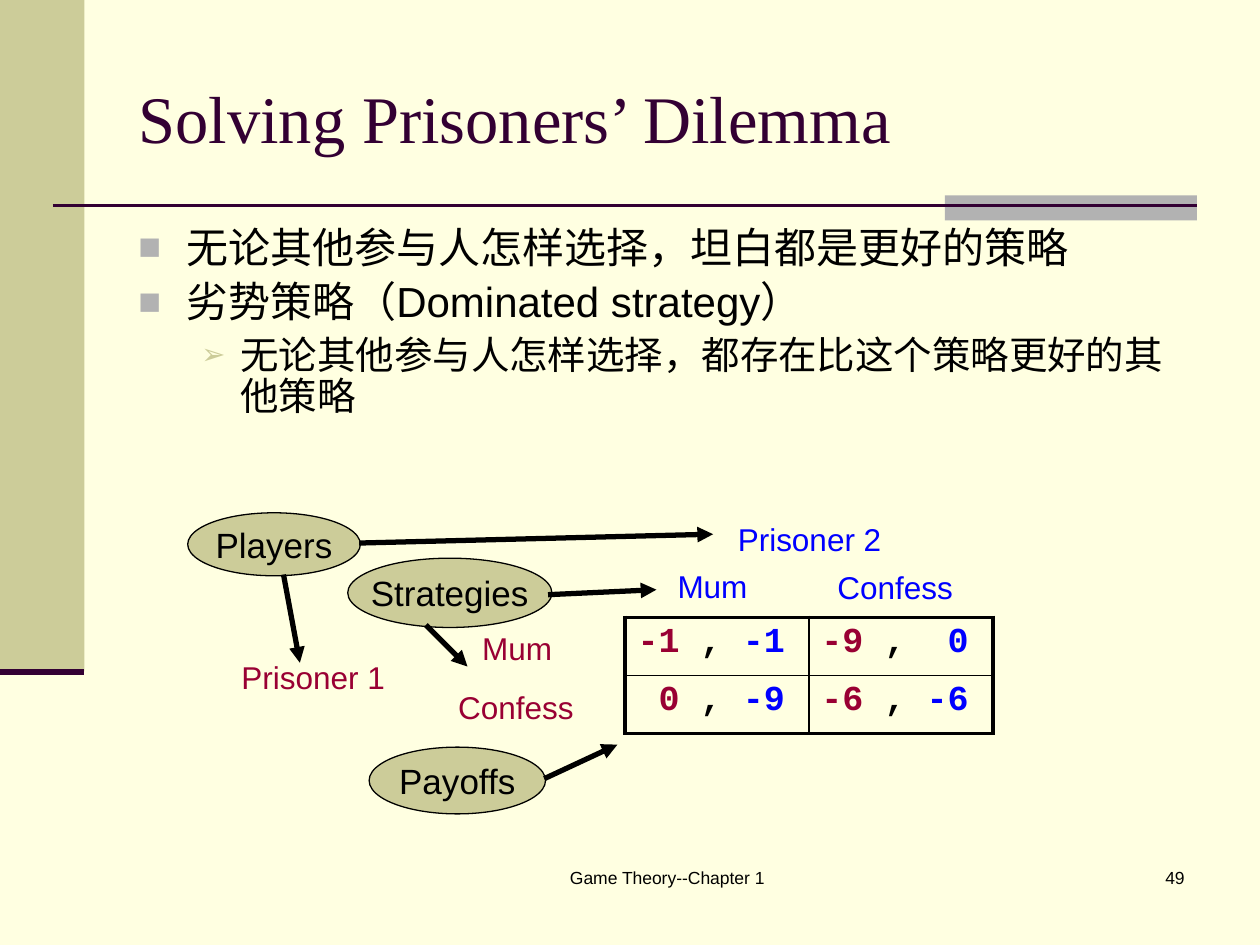
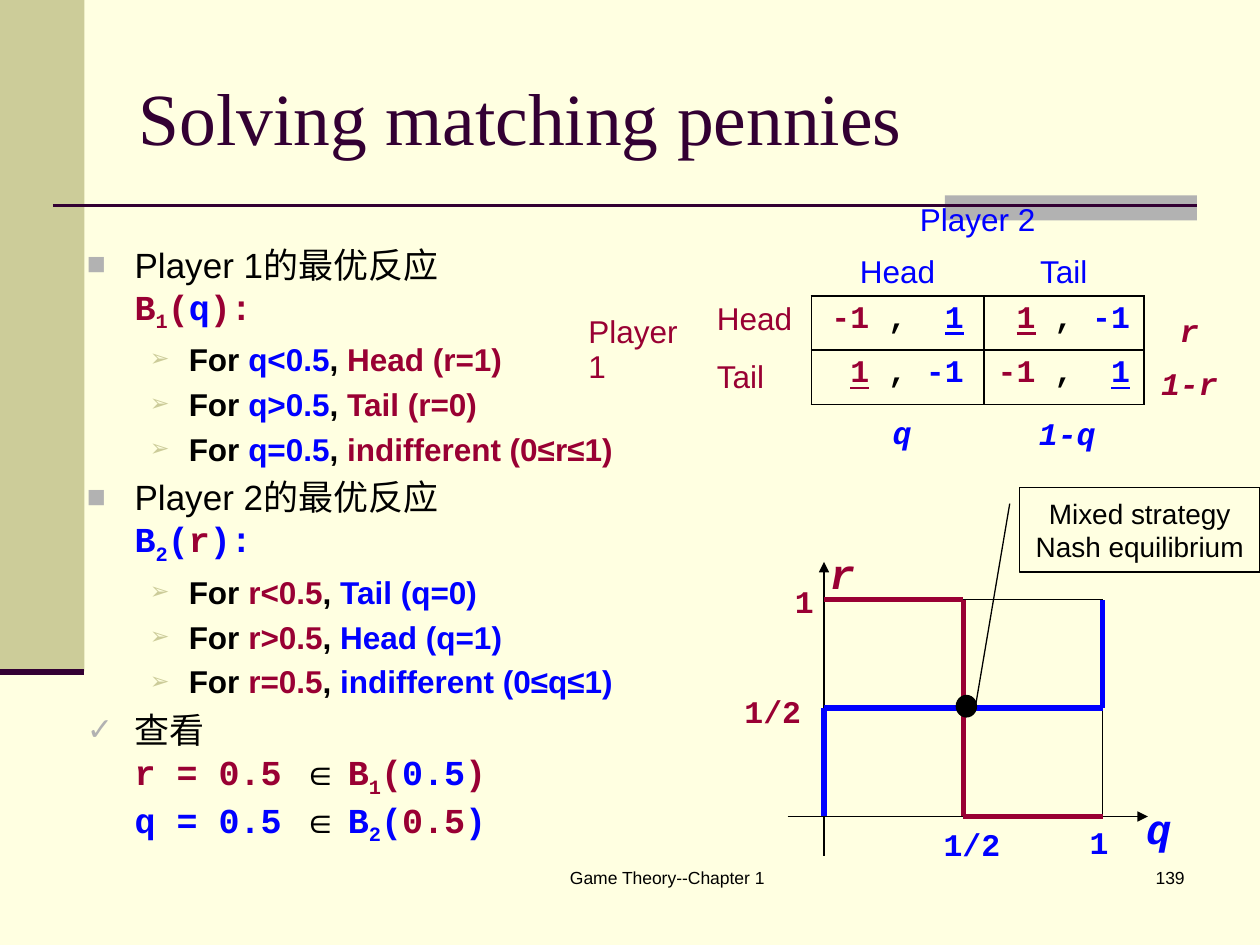
from dataclasses import dataclass
from functools import partial

from lxml import etree
from pptx import Presentation
from pptx import util as u
from pptx.dml.color import RGBColor
from pptx.enum import shapes, text
from pptx.oxml.ns import qn


@dataclass(frozen=True)
class Theme:
    paper: str = "FFFFE1"
    khaki: str = "CCCC99"
    grey: str = "B2B2B2"
    plum: str = "330033"
    black: str = "000000"
    red: str = "990033"
    blue: str = "0000FF"
    sans: str = "Arial"
    serif: str = "Times New Roman"
    mono: str = "Courier New"
    footer_size: int = 10
    callout_size: int = 16
    label_size: int = 18
    heading_size: int = 20
    axis_size: int = 24


THEME = Theme()
NO_GRID_STYLE = "{2D5ABB26-0587-4C30-8999-92F81FD0307C}"
LEFT, CENTER, RIGHT = text.PP_ALIGN.LEFT, text.PP_ALIGN.CENTER, text.PP_ALIGN.RIGHT
TOP, MIDDLE, BOTTOM = text.MSO_ANCHOR.TOP, text.MSO_ANCHOR.MIDDLE, text.MSO_ANCHOR.BOTTOM


@dataclass(frozen=True)
class Run:
    text: str
    color: str = THEME.black
    font: str = THEME.sans
    bold: bool = False
    italic: bool = False
    underline: bool = False
    subscript: bool = False


red = partial(Run, color=THEME.red)
blue = partial(Run, color=THEME.blue)
mono = partial(Run, font=THEME.mono, bold=True)
mono_red = partial(mono, color=THEME.red)
mono_blue = partial(mono, color=THEME.blue)


@dataclass(frozen=True)
class Bullet:
    mark: str
    color: str
    percent: int
    margin: float
    hanging: float
    level: int = 0


SQUARE = Bullet("■", THEME.grey, 90, 0.38, 0.38)
CHECK = Bullet("✓", THEME.grey, 90, 0.38, 0.38)
ARROW = Bullet("➢", THEME.khaki, 75, 0.81, 0.31, 1)


def rgb(color):
    return RGBColor.from_string(color)


def add_child(parent, tag, **attributes):
    return etree.SubElement(parent, qn(tag), **attributes)


def payoff(first, second, best=0):
    """Runs of one payoff pair; best (1 or 2) is the underlined payoff."""
    runs = [mono_red(first, underline=best == 1), mono(" , " + " " * (2 - len(second))),
            mono_blue(second, underline=best == 2)]
    return ([mono_red(" ")] if len(first) < 2 else []) + runs


def best_response(player, own, other, argument, ending=")"):
    return [own("B"), own(player, subscript=True), own("("), other(argument), own(ending)]


def case(condition, condition_run, answer, answer_run):
    return [Run("For ", bold=True), condition_run(condition, bold=True),
            Run(", ", bold=True), answer_run(answer, bold=True)]


class Deck:
    def __init__(self, theme):
        self.theme = theme
        self.presentation = Presentation()
        self.presentation.slide_width = u.Inches(10)
        self.presentation.slide_height = u.Inches(7.5)
        self.slide = None

    def new_slide(self, title, title_size, number):
        theme = self.theme
        self.slide = self.presentation.slides.add_slide(self.presentation.slide_layouts[5])
        fill = self.slide.background.fill
        fill.solid()
        fill.fore_color.rgb = rgb(theme.paper)
        self.shape(shapes.MSO_SHAPE.RECTANGLE, (0, 0, 0.67, 5.33), theme.khaki)
        self.shape(shapes.MSO_SHAPE.RECTANGLE, (7.5, 1.55, 2, 0.2), theme.grey)
        self.line((0.42, 1.63), (9.5, 1.63), theme.plum, 1.5)
        self.line((0, 5.33), (0.67, 5.33), theme.plum, 3.5)
        self.label((3.67, 6.83, 3.25, 0.5), Run("Game Theory--Chapter 1"), theme.footer_size)
        self.label((7.42, 6.83, 2.08, 0.5), Run(number), theme.footer_size, RIGHT)

        holder = self.slide.shapes.title
        holder.left, holder.top, holder.width, holder.height = map(u.Inches, (1, 0.3, 8.5, 1.25))
        holder.text_frame.auto_size = text.MSO_AUTO_SIZE.NONE
        holder.text_frame.vertical_anchor = MIDDLE
        self.add_runs(holder.text_frame.paragraphs[0],
                      [Run(title, theme.plum, theme.serif)], title_size, LEFT)

    def add_runs(self, paragraph, runs, size, align=LEFT):
        paragraph.alignment = align
        for item in runs:
            for index, part in enumerate(item.text.split("\n")):
                if index:
                    paragraph.add_line_break()
                if not part:
                    continue
                run = paragraph.add_run()
                run.text = part
                font = run.font
                font.name, font.size = item.font, u.Pt(size)
                font.bold, font.italic, font.underline = item.bold, item.italic, item.underline
                font.color.rgb = rgb(item.color)
                if item.subscript:
                    run._r.get_or_add_rPr().set("baseline", "-25000")

    def shape(self, kind, box, fill=None, line=None):
        shape = self.slide.shapes.add_shape(kind, *map(u.Inches, box))
        shape.shadow.inherit = False
        if fill:
            shape.fill.solid()
            shape.fill.fore_color.rgb = rgb(fill)
        else:
            shape.fill.background()
        if line:
            shape.line.color.rgb = rgb(line)
            shape.line.width = u.Pt(0.75)
        else:
            shape.line.fill.background()
        return shape

    def oval(self, box, words):
        shape = self.shape(shapes.MSO_SHAPE.OVAL, box, self.theme.khaki, self.theme.black)
        shape.text_frame.word_wrap = False
        shape.text_frame.vertical_anchor = MIDDLE
        self.add_runs(shape.text_frame.paragraphs[0], [Run(words)], self.theme.heading_size, CENTER)

    def callout(self, box, words, adjustments):
        shape = self.shape(shapes.MSO_SHAPE.LINE_CALLOUT_1, box, line=self.theme.black)
        for index, value in enumerate(adjustments):
            shape.adjustments[index] = value
        shape.text_frame.word_wrap = True
        shape.text_frame.vertical_anchor = MIDDLE
        self.add_runs(shape.text_frame.paragraphs[0], [Run(words)], self.theme.callout_size, CENTER)

    def line(self, start, end, color=THEME.black, width=0.75, arrow=False):
        connector = self.slide.shapes.add_connector(
            shapes.MSO_CONNECTOR.STRAIGHT, *map(u.Inches, (*start, *end)))
        connector.line.color.rgb = rgb(color)
        connector.line.width = u.Pt(width)
        if arrow:
            add_child(connector.line._get_or_add_ln(), "a:tailEnd", type="triangle")
        add_child(connector._element.spPr, "a:effectLst")

    def thick_line(self, points, color):
        """Thick line through the points, one straight piece at a time."""
        for start, end in zip(points, points[1:]):
            self.line(start, end, color, 3)

    def label(self, box, run, size=THEME.label_size, align=CENTER):
        frame = self.slide.shapes.add_textbox(*map(u.Inches, box)).text_frame
        frame.word_wrap = True
        self.add_runs(frame.paragraphs[0], [run], size, align)

    def body(self, box, items, line_spacing=1.0):
        """Bulleted text; each item is (bullet, size, runs)."""
        frame = self.slide.shapes.add_textbox(*map(u.Inches, box)).text_frame
        frame.word_wrap = True
        for index, (bullet, size, runs) in enumerate(items):
            paragraph = frame.add_paragraph() if index else frame.paragraphs[0]
            self.add_runs(paragraph, runs, size)
            paragraph.level = bullet.level
            paragraph.line_spacing = line_spacing
            paragraph.space_before = u.Pt(round(size * 0.23, 1))
            properties = paragraph._p.get_or_add_pPr()
            properties.set("marL", str(u.Inches(bullet.margin)))
            properties.set("indent", str(-u.Inches(bullet.hanging)))
            add_child(add_child(properties, "a:buClr"), "a:srgbClr", val=bullet.color)
            add_child(properties, "a:buSzPct", val=str(bullet.percent * 1000))
            add_child(properties, "a:buFont", typeface=self.theme.sans)
            add_child(properties, "a:buChar", char=bullet.mark)

    def table(self, left, top, columns, rows):
        table = self.slide.shapes.add_table(
            len(rows), len(columns), *map(u.Inches, (left, top, sum(columns), sum(rows)))).table
        table.first_row = table.horz_banding = False
        table._tbl.tblPr.find(qn("a:tableStyleId")).text = NO_GRID_STYLE
        for column, width in zip(table.columns, columns):
            column.width = u.Inches(width)
        for row, height in zip(table.rows, rows):
            row.height = u.Inches(height)
        for cell in table.iter_cells():
            cell.fill.background()
        return table

    def cell(self, cell, runs, size=THEME.label_size, align=LEFT, anchor=TOP):
        cell.vertical_anchor = anchor
        self.add_runs(cell.text_frame.paragraphs[0], runs, size, align)

    def payoffs(self, table, pairs, first_row, first_column, size, align, outer):
        """Fill and frame the 2 by 2 payoff cells; outer is the frame's width."""
        for row, line in enumerate(pairs):
            for column, pair in enumerate(line):
                cell = table.cell(first_row + row, first_column + column)
                self.cell(cell, payoff(*pair), size, align)
                properties = cell._tc.get_or_add_tcPr()
                edges = {"L": column == 0, "R": column == 1, "T": row == 0, "B": row == 1}
                for position, (side, is_outer) in enumerate(edges.items()):
                    width = u.Pt(outer if is_outer else 1)
                    border = etree.Element(qn("a:ln" + side), w=str(width))
                    add_child(add_child(border, "a:solidFill"), "a:srgbClr", val=self.theme.black)
                    properties.insert(position, border)


def prisoners_dilemma(deck):
    theme = deck.theme
    deck.new_slide("Solving Prisoners’ Dilemma", 38, "49")
    deck.body((1, 1.75, 8.42, 2.31), [
        (SQUARE, 24, [Run("无论其他参与人怎样选择，坦白都是更好的策略")]),
        (SQUARE, 24, [Run("劣势策略（Dominated strategy）")]),
        (ARROW, 22, [Run("无论其他参与人怎样选择，都存在比这个策略更好的其他策略")]),
    ], 0.9)
    table = deck.table(4.96, 4.9, [1.46] * 2, [0.46] * 2)
    pairs = [[("-1", "-1"), ("-9", "0")], [("0", "-9"), ("-6", "-6")]]
    deck.payoffs(table, pairs, 0, 0, theme.heading_size, LEFT, 2.25)

    for left, top, run in [
        (1.74, 5.17, red("Prisoner 1")), (5.68, 4.08, blue("Prisoner 2")),
        (3.36, 4.94, red("Mum")), (3.35, 5.41, red("Confess")),
        (4.91, 4.45, blue("Mum")), (6.36, 4.46, blue("Confess")),
    ]:
        deck.label((left, top, 1.49, 0.4), run)
    deck.oval((1.49, 4.07, 1.37, 0.5), "Players")
    deck.oval((2.76, 4.43, 1.62, 0.55), "Strategies")
    deck.oval((2.93, 5.93, 1.4, 0.53), "Payoffs")
    for start, end in [
        ((2.85, 4.31), (5.66, 4.24)), ((2.25, 4.56), (2.38, 5.26)),
        ((4.35, 4.72), (5.21, 4.68)), ((3.38, 4.96), (3.71, 5.29)),
        ((4.32, 6.18), (4.9, 5.91)),
    ]:
        deck.line(start, end, width=3, arrow=True)


def best_response_plot(deck):
    theme = deck.theme

    def at(q, r):
        return 6.54 + 2.21 * q, 6.48 - 1.72 * r

    deck.line((6.25, 6.48), (9.11, 6.48), arrow=True)
    deck.line((6.54, 6.79), (6.54, 4.46), arrow=True)
    deck.line(at(1, 0.5), at(1, 0))
    deck.line(at(0.5, 1), at(1, 1))
    deck.thick_line([at(0, 0), at(0, 0.5), at(1, 0.5), at(1, 1)], theme.blue)
    deck.thick_line([at(0, 1), at(0.5, 1), at(0.5, 0), at(1, 0)], theme.red)
    deck.label((8.94, 6.32, 0.51, 0.5), mono_blue("q", italic=True), theme.axis_size)
    deck.label((6.43, 4.3, 0.51, 0.5), mono_red("r", italic=True), theme.axis_size)
    for left, top, run in [
        (8.55, 6.48, mono_blue("1")), (7.39, 6.5, mono_blue("1/2")),
        (6.21, 4.57, mono_red("1")), (5.81, 5.44, mono_red("1/2")),
    ]:
        deck.label((left, top, 0.76, 0.4), run, align=LEFT)
    deck.shape(shapes.MSO_SHAPE.OVAL, (7.59, 5.52, 0.16, 0.17), theme.black, theme.black)
    deck.callout((8.09, 3.87, 1.91, 0.67), "Mixed strategy Nash equilibrium",
                 (0.19, -0.04, 2.55, -0.18))


def matching_pennies(deck):
    theme = deck.theme
    deck.new_slide("Solving matching pennies", 42, "139")
    items = []
    for player, own, other, mine, theirs, argument, answers in [
        ("1", mono_red, mono_blue, red, blue, "q",
         ["Head (r=1)", "Tail (r=0)", "indifferent (0≤r≤1)"]),
        ("2", mono_blue, mono_red, blue, red, "r",
         ["Tail (q=0)", "Head (q=1)", "indifferent (0≤q≤1)"]),
    ]:
        heading = Run(f"Player {player}的最优反应\n")
        items.append((SQUARE, theme.heading_size,
                      [heading, *best_response(player, own, other, argument, "):")]))
        items += [(ARROW, theme.label_size, case(f"{argument}{sign}0.5", theirs, answer, mine))
                  for sign, answer in zip("<>=", answers)]
    items.append((CHECK, theme.heading_size, [
        Run("查看\n"),
        mono_red("r = 0.5 "), Run("∈ "), *best_response("1", mono_red, mono_blue, "0.5", ")\n"),
        mono_blue("q = 0.5 "), Run("∈ "), *best_response("2", mono_blue, mono_red, "0.5"),
    ]))
    deck.body((0.59, 1.88, 4.52, 4.8), items)

    table = deck.table(4.57, 1.53, [1.02, 0.2, 0.61, 1.37, 1.27], [0.41, 0.41, 0.43, 0.43])
    for first, last in [((0, 0), (0, 1)), ((0, 3), (0, 4)), ((1, 0), (1, 1)),
                        ((2, 0), (3, 0)), ((2, 1), (2, 2)), ((3, 1), (3, 2))]:
        table.cell(*first).merge(table.cell(*last))
    for column, row, words in [(3, 0, "Player 2"), (3, 1, "Head"), (4, 1, "Tail")]:
        deck.cell(table.cell(row, column), [blue(words)], align=CENTER, anchor=BOTTOM)
    for column, row, words, anchor in [
        (0, 2, "Player 1", MIDDLE), (1, 2, "Head", TOP), (1, 3, "Tail", MIDDLE),
    ]:
        deck.cell(table.cell(row, column), [red(words)], anchor=anchor)
    pairs = [[("-1", "1", 2), ("1", "-1", 1)], [("1", "-1", 1), ("-1", "1", 2)]]
    deck.payoffs(table, pairs, 2, 3, theme.label_size, CENTER, 1)
    for left, top, run in [
        (9.07, 2.42, mono_red("r", italic=True)), (9.07, 2.84, mono_red("1-r", italic=True)),
        (6.79, 3.23, mono_blue("q", italic=True)), (8.1, 3.24, mono_blue("1-q", italic=True)),
    ]:
        deck.label((left, top, 0.74, 0.4), run)
    best_response_plot(deck)


def main():
    deck = Deck(THEME)
    prisoners_dilemma(deck)
    matching_pennies(deck)
    deck.presentation.save("out.pptx")


if __name__ == "__main__":
    main()
